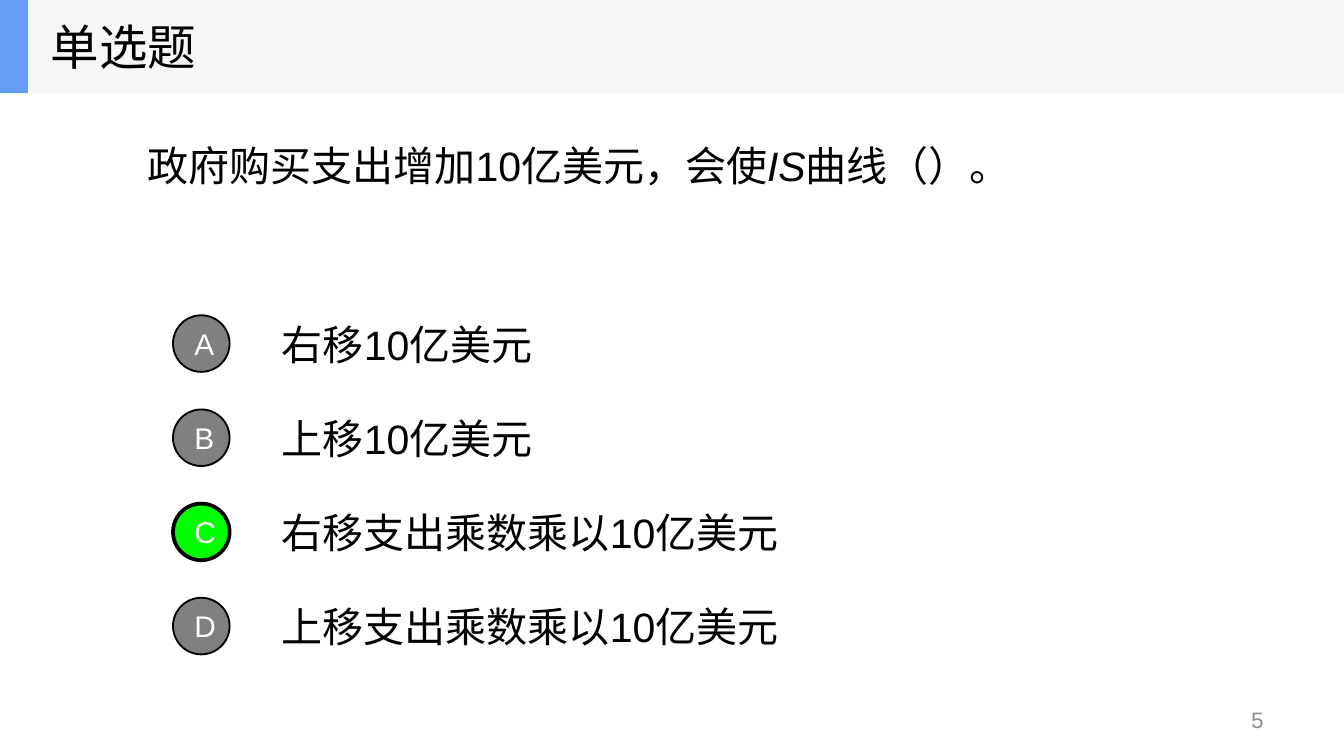
from pptx import Presentation
from pptx.dml.color import RGBColor
from pptx.enum.shapes import MSO_SHAPE
from pptx.enum.text import MSO_ANCHOR, PP_ALIGN
from pptx.util import Cm, Pt

RECTANGLE, OVAL = MSO_SHAPE.RECTANGLE, MSO_SHAPE.OVAL
MIDDLE = MSO_ANCHOR.MIDDLE
LEFT, CENTER, RIGHT = PP_ALIGN.LEFT, PP_ALIGN.CENTER, PP_ALIGN.RIGHT

BLACK, WHITE, GRAY, GREEN = "000000", "FFFFFF", "808080", "00FF00"
PALE, BLUE, NUMBER_GRAY = "F6F7F8", "639EF4", "8C8C8C"

OPTIONS = ["右移10亿美元", "上移10亿美元", "右移支出乘数乘以10亿美元", "上移支出乘数乘以10亿美元"]
CORRECT = "C"
FIRST_TOP, PITCH = 5.82, 1.78
OPTION_HEIGHT, CIRCLE = 1.35, 1.07
HEADER_HEIGHT = 1.76


def color(value):
    return RGBColor.from_string(value)


class QuizSlide:
    font_name = "Arial"

    def __init__(self, slide):
        self.slide = slide

    def fill_text(self, shape, spans, size, ink, align=LEFT):
        frame = shape.text_frame
        for name, value in {"word_wrap": True, "vertical_anchor": MIDDLE}.items():
            setattr(frame, name, value)
        para = frame.paragraphs[0]
        para.alignment = align
        for text, italic in spans:
            span = para.add_run()
            span.text = text
            style = {"name": self.font_name, "size": Pt(size), "italic": italic}
            for name, value in style.items():
                setattr(span.font, name, value)
            span.font.color.rgb = color(ink)

    def text(self, place, spans, size, ink=BLACK, align=LEFT):
        box = self.slide.shapes.add_textbox(*map(Cm, place))
        self.fill_text(box, spans, size, ink, align)

    def shape(self, kind, place, fill, line_width=0):
        shape = self.slide.shapes.add_shape(kind, *map(Cm, place))
        shape.shadow.inherit = False
        shape.fill.solid()
        shape.fill.fore_color.rgb = color(fill)
        if line_width:
            shape.line.color.rgb = color(BLACK)
            shape.line.width = Pt(line_width)
        else:
            shape.line.fill.background()
        return shape

    def option(self, letter, text, top):
        fill, line_width = (GREEN, 2) if letter == CORRECT else (GRAY, 1)
        self.text((5.08, top, 17.78, OPTION_HEIGHT), [(text, False)], 22)
        circle_top = top + (OPTION_HEIGHT - CIRCLE) / 2
        circle = self.shape(OVAL, (3.27, circle_top, CIRCLE, CIRCLE), fill, line_width)
        self.fill_text(circle, [(letter, False)], 16, WHITE, CENTER)


def main():
    deck = Presentation()
    deck.slide_width, deck.slide_height = Cm(25.4), Cm(14.29)
    page = QuizSlide(deck.slides.add_slide(deck.slide_layouts[6]))

    page.text((18.21, 13.23, 5.92, 0.76), [("5", False)], 12, NUMBER_GRAY, RIGHT)
    question = [("政府购买支出增加10亿美元，会使", False), ("IS", True), ("曲线（）。", False)]
    page.text((2.54, 0.89, 20.32, 4.47), question, 22)
    for index, (letter, text) in enumerate(zip("ABCD", OPTIONS)):
        page.option(letter, text, FIRST_TOP + index * PITCH)

    page.shape(RECTANGLE, (0, 0, 25.4, HEADER_HEIGHT), PALE)
    page.shape(RECTANGLE, (0, 0, 0.53, HEADER_HEIGHT), BLUE)
    page.text((0.71, 0, 5.28, HEADER_HEIGHT), [("单选题", False)], 26)
    deck.save("out.pptx")


if __name__ == "__main__":
    main()
